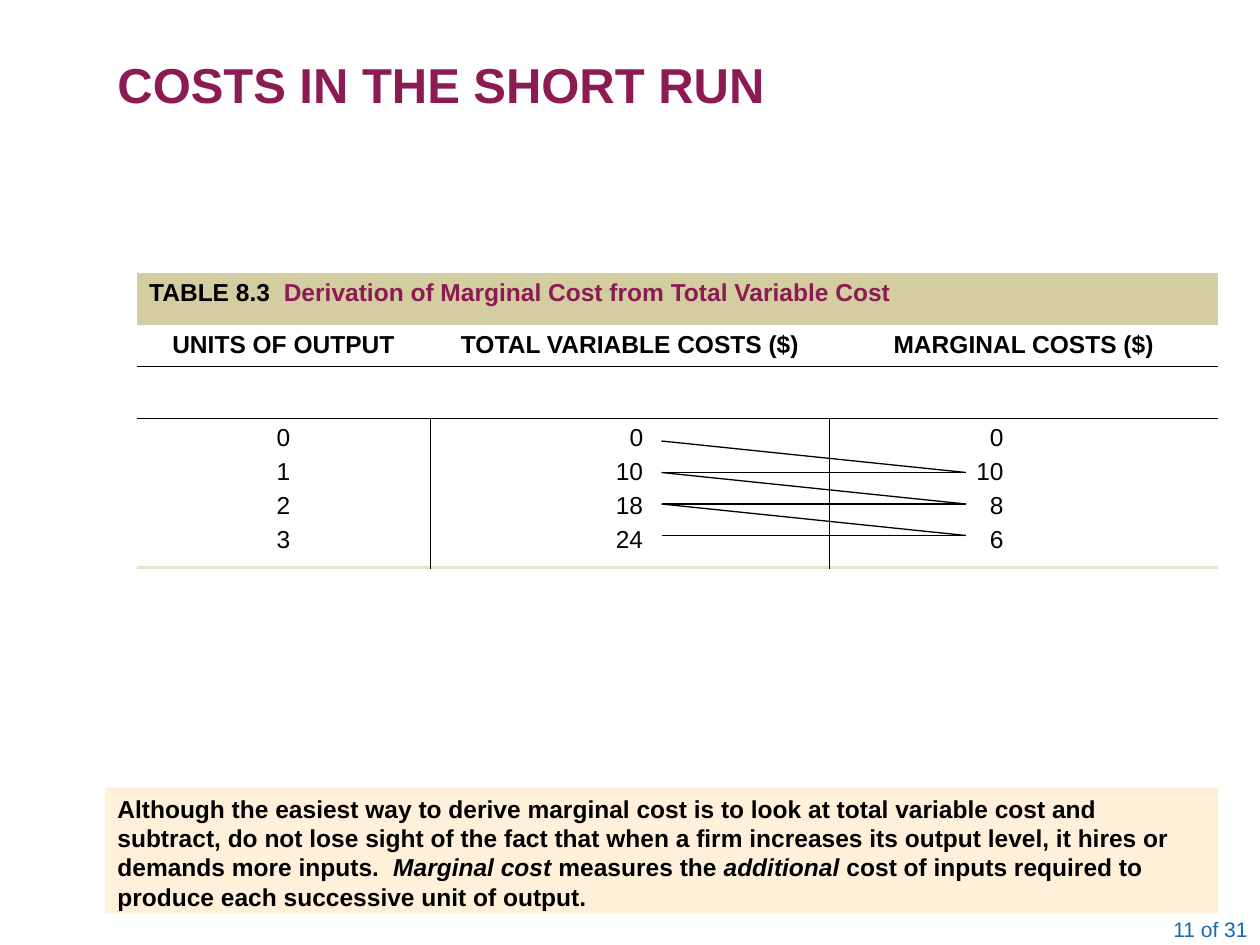
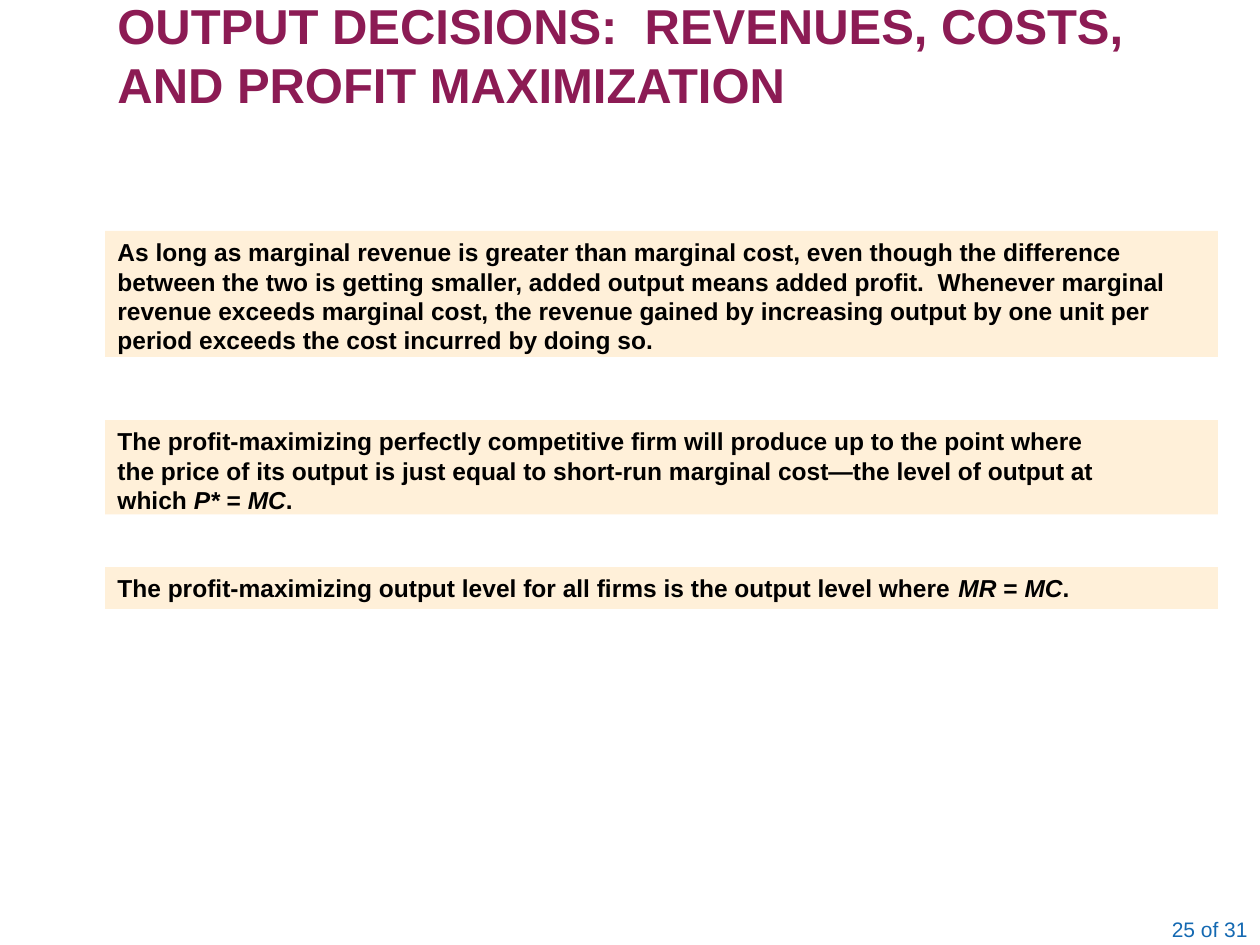
from lxml import etree
from pptx import Presentation
from pptx.dml.color import RGBColor
from pptx.enum import shapes, text
from pptx.oxml import ns
from pptx.util import Pt

HUES = {"plum": "8C1B54", "blue": "1469B2", "black": "000000",
        "cream": "FFF0D9", "khaki": "D3CDA1", "sand": "E7E4CB"}
LEFT, MID, RIGHT = text.PP_ALIGN.LEFT, text.PP_ALIGN.CENTER, text.PP_ALIGN.RIGHT
PLAIN_GRID = "{2D5ABB26-0587-4C30-8999-92F81FD0307C}"


def tint(name):
    return RGBColor.from_string(HUES[name])


def put(frame, paras, size=14, hue="black", bold=True, align=LEFT, gap=0, odd=None):
    """Every second run is italic, or takes the colour odd."""
    frame.word_wrap = True
    for n, runs in enumerate(paras):
        para = frame.paragraphs[0] if n == 0 else frame.add_paragraph()
        para.alignment = align
        para.space_before = para.space_after = Pt(gap)
        for k, words in enumerate(runs):
            for j, line in enumerate(words.split("\n")):
                if j:
                    para.add_line_break()
                run = para.add_run()
                run.text = line
                font = run.font
                font.name, font.size, font.bold = "Arial", Pt(size), bold
                font.italic = k % 2 == 1 and odd is None
                font.color.rgb = tint(odd if odd and k % 2 else hue)


# Content: title, page, notes as (top, height, paragraphs)
pages = [
    ("COSTS IN THE SHORT RUN", 11, [
        (450, 72, [[
            "Although the easiest way to derive marginal cost is to look at total "
            "variable cost and subtract, do not lose sight of the fact that when a "
            "firm increases its output level, it hires or demands more inputs.  ",
            "Marginal cost", " measures the", " additional",
            " cost of inputs required to produce each successive unit of output."]]),
    ]),
    ("OUTPUT DECISIONS:  REVENUES, COSTS,\nAND PROFIT MAXIMIZATION", 25, [
        (132, 72, [
            ["As long as marginal revenue is greater than marginal cost, "
             "even though the difference"],
            ["between the two is getting smaller, added output means added profit.  "
             "Whenever marginal"],
            ["revenue exceeds marginal cost, the revenue gained by increasing output by "
             "one unit per period exceeds the cost incurred by doing so."]]),
        (240, 54, [
            ["The profit-maximizing perfectly competitive firm will produce up to "
             "the point where"],
            ["the price of its output is just equal to short-run marginal cost—the "
             "level of output at"],
            ["which ", "P*", " = ", "MC", "."]]),
        (324, 24, [
            ["The profit-maximizing output level for all firms is the output level where ",
             "MR", " = ", "MC", "."]]),
    ]),
]

deck = Presentation()
deck.slide_width, deck.slide_height = Pt(720), Pt(540)

# Shared frame of each slide
for title, page, notes in pages:
    slide = deck.slides.add_slide(deck.slide_layouts[6])
    foot = slide.shapes.add_textbox(Pt(660), Pt(522), Pt(60), Pt(18)).text_frame
    foot.vertical_anchor = text.MSO_ANCHOR.MIDDLE
    put(foot, [[f"{page} of 31"]], 12, "blue", False, RIGHT)

    head = slide.shapes.add_textbox(Pt(60), Pt(0), Pt(660), Pt(72)).text_frame
    head.vertical_anchor = text.MSO_ANCHOR.BOTTOM
    head.margin_bottom = Pt(7.2)
    put(head, [[title]], 28, "plum")

    for top, height, paras in notes:
        box = slide.shapes.add_shape(shapes.MSO_SHAPE.RECTANGLE,
                                     Pt(60), Pt(top), Pt(636), Pt(height))
        box.shadow.inherit = False
        box.fill.solid()
        box.fill.fore_color.rgb = tint("cream")
        box.line.fill.background()
        box.text_frame.vertical_anchor = text.MSO_ANCHOR.TOP
        put(box.text_frame, paras)

# Cost table
slide = deck.slides[0]
widths, heights = [168, 228, 222], [29.5, 24, 29.5, 85]
table = slide.shapes.add_table(4, 3, Pt(78), Pt(156), Pt(sum(widths)),
                               Pt(sum(heights))).table
table.first_row = table.horz_banding = False
table._tbl.tblPr.find(ns.qn("a:tableStyleId")).text = PLAIN_GRID
for col, width in zip(table.columns, widths):
    col.width = Pt(width)
for row, height in zip(table.rows, heights):
    row.height = Pt(height)

# Cell borders by row and column: side, colour, width
rule, base = ("black", 0.45), ("sand", 1.47)
edges = {(3, 0): [("R", *rule)], (3, 1): [("L", *rule)]}
for c in range(3):
    edges[1, c] = [("B", *rule)]
    edges[2, c] = [("T", *rule)]
    edges.setdefault((3, c), []).append(("B", *base))
for (r, c), sides in edges.items():
    props = table.cell(r, c)._tc.get_or_add_tcPr()
    for side, hue, width in sides:
        line = etree.SubElement(props, ns.qn("a:ln" + side), w=str(Pt(width)))
        fill = etree.SubElement(line, ns.qn("a:solidFill"))
        etree.SubElement(fill, ns.qn("a:srgbClr"), val=HUES[hue])
    table.cell(r, c).fill.background()

# Table text
band = table.cell(0, 0)
band.merge(table.cell(0, 2))
band.fill.solid()
band.fill.fore_color.rgb = tint("khaki")
put(band.text_frame, [["TABLE 8.3  ",
                       "Derivation of Marginal Cost from Total Variable Cost"]], odd="plum")
columns = [("UNITS OF OUTPUT", [0, 1, 2, 3], MID, 7.2),
           ("TOTAL VARIABLE COSTS ($)", [0, 10, 18, 24], RIGHT, 106.5),
           ("MARGINAL COSTS ($)", [0, 10, 8, 6], RIGHT, 122.5)]
for c, (label, values, align, inset) in enumerate(columns):
    put(table.cell(1, c).text_frame, [[label]], align=MID, gap=1.8)
    cell = table.cell(3, c)
    cell.margin_right = Pt(inset)
    put(cell.text_frame, [[str(v)] for v in values], bold=False, align=align, gap=1.8)

# Zigzag from total cost to marginal cost
for n in range(3):
    top = 252 + 18 * n
    low = top + 18
    for ends in [(378, top, 552, low), (552, low, 378, low)]:
        link = slide.shapes.add_connector(shapes.MSO_CONNECTOR.STRAIGHT, *map(Pt, ends))
        link.line.color.rgb = tint("black")
        link.line.width = Pt(0.75)
        etree.SubElement(link._element.spPr, ns.qn("a:effectLst"))

deck.save("out.pptx")
